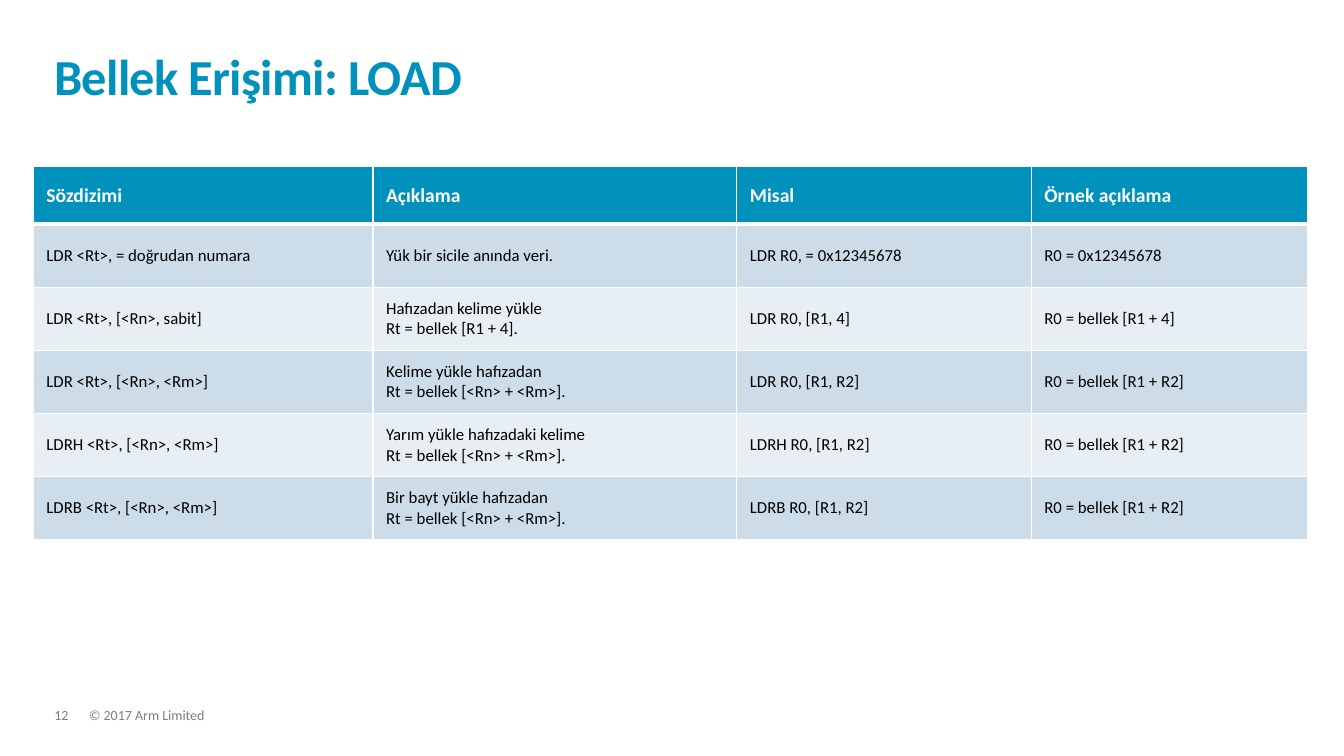
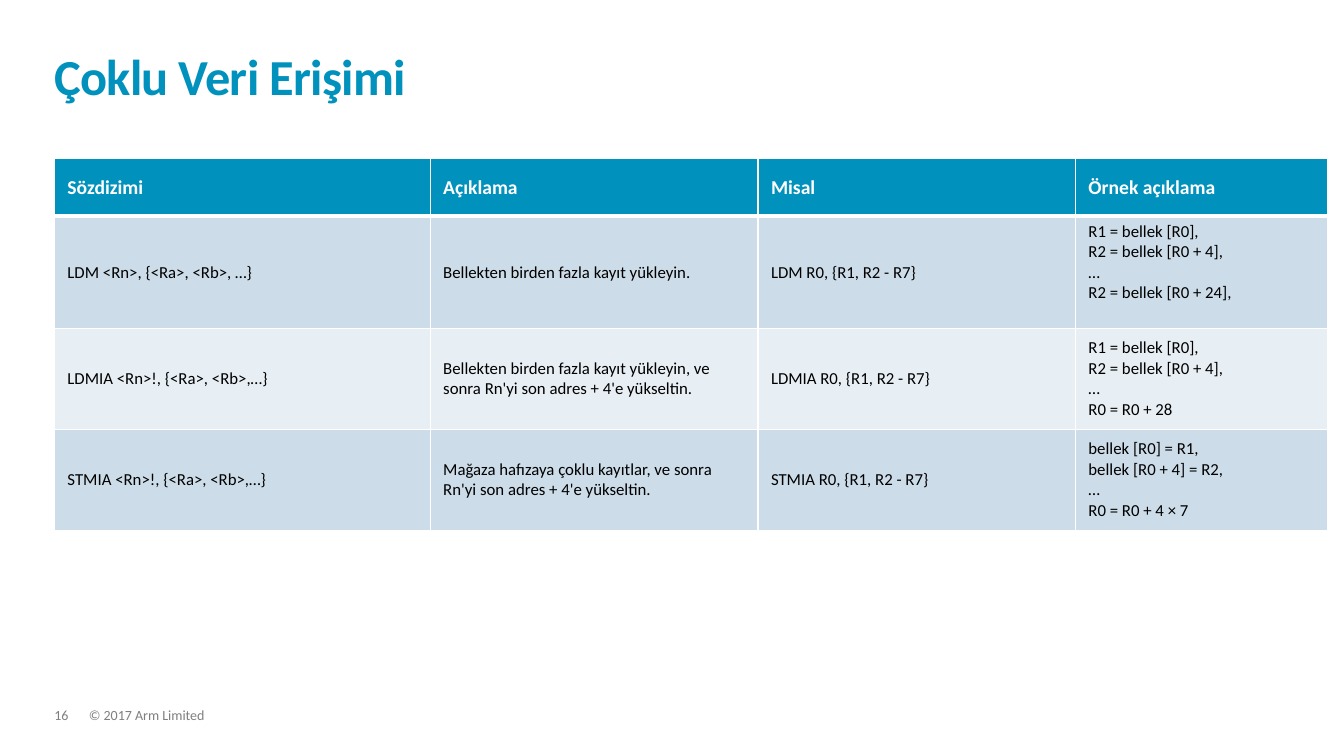
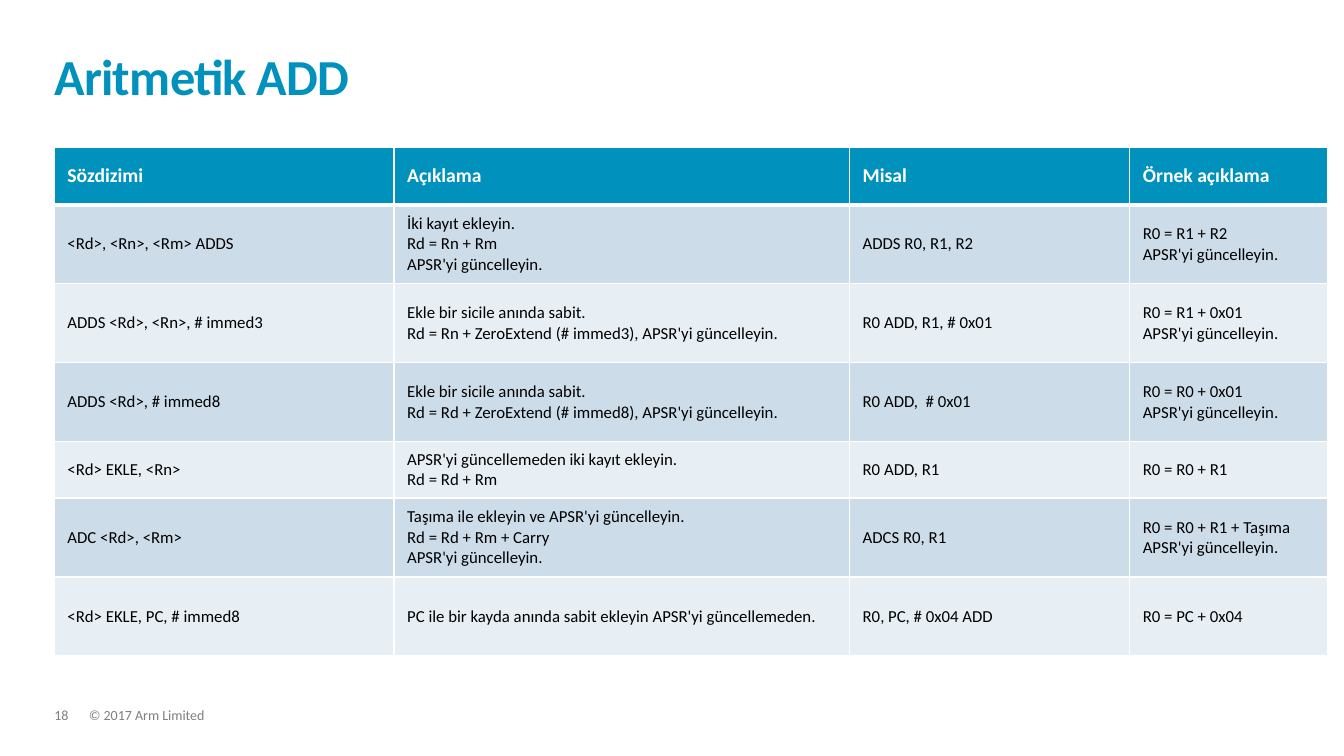
"""Build three slides of instruction tables with a shared title and footer."""
from lxml.etree import SubElement
from pptx import Presentation
from pptx.dml.color import RGBColor
from pptx.enum.text import MSO_ANCHOR as Anchor, MSO_AUTO_SIZE as AutoSize
from pptx.oxml.ns import qn
from pptx.util import Cm, Pt

BLUE = RGBColor(0x00, 0x91, 0xBD)
BAND_DARK = RGBColor(0xCC, 0xDC, 0xE8)
BAND_LIGHT = RGBColor(0xE7, 0xEE, 0xF4)
WHITE = RGBColor(0xFF, 0xFF, 0xFF)
BLACK = RGBColor(0x00, 0x00, 0x00)
GREY = RGBColor(0x7F, 0x7F, 0x7F)
FONT = "Calibri"
LEFT = 1.37
HEADER_HEIGHT = 1.45
HEADERS = ("Sözdizimi", "Açıklama", "Misal", "Örnek açıklama")


class Deck:
    def __init__(self):
        self.prs = Presentation()
        self.prs.slide_width, self.prs.slide_height = Cm(33.87), Cm(19.05)
        self.slide = None

    def add_slide(self, title, number):
        self.slide = self.prs.slides.add_slide(self.prs.slide_layouts[6])
        self.footer("© 2017 Arm Limited", 2.24, 23.19)
        self.footer(number, LEFT, 0.86)
        self.title(title)

    def run(self, p, text, size, color, bold=False):
        r = p.add_run()
        r.text = text
        r.font.name, r.font.size, r.font.bold = FONT, Pt(size), bold
        r.font.color.rgb = color
        return r

    def text_frame(self, left, top, width, height):
        s = self.slide.shapes.add_textbox(Cm(left), Cm(top), Cm(width), Cm(height))
        tf = s.text_frame
        tf.word_wrap = True
        tf.margin_left = tf.margin_right = tf.margin_top = tf.margin_bottom = 0
        return tf

    def title(self, text):
        tf = self.text_frame(LEFT, 0.81, 31.06, 1.85)
        tf.vertical_anchor = Anchor.BOTTOM
        p = tf.paragraphs[0]
        p.line_spacing = 0.85
        r = self.run(p, text, 36, BLUE, True)
        r.font._element.set("spc", "-50")

    def footer(self, text, left, width):
        tf = self.text_frame(left, 17.86, width, 0.38)
        tf.auto_size = AutoSize.SHAPE_TO_FIT_TEXT
        p = tf.paragraphs[0]
        p.line_spacing = 0.9
        self.run(p, text, 10, GREY)

    def border(self, cell, side, width):
        tc_pr = cell._tc.get_or_add_tcPr()
        ln = SubElement(tc_pr, qn(f"a:{side}"), w=str(Pt(width)))
        fill = SubElement(ln, qn("a:solidFill"))
        SubElement(fill, qn("a:srgbClr"), val=str(WHITE))

    def cell(self, cell, text, row):
        header = row == 0
        for side in ("lnL", "lnR", "lnT", "lnB"):
            thick = (header and side == "lnB") or (row == 1 and side == "lnT")
            self.border(cell, side, 3 if thick else 1)
        cell.fill.solid()
        cell.fill.fore_color.rgb = BLUE if header else (BAND_LIGHT, BAND_DARK)[row % 2]
        cell.vertical_anchor = Anchor.MIDDLE
        cell.margin_left = cell.margin_right = Cm(0.33)
        cell.margin_top = cell.margin_bottom = Cm(0.13)
        tf = cell.text_frame
        for i, line in enumerate(text.split("\n")):
            p = tf.add_paragraph() if i else tf.paragraphs[0]
            self.run(p, line, 14 if header else 12, WHITE if header else BLACK, header)

    def table(self, left, top, widths, heights, rows):
        heights = (HEADER_HEIGHT, *heights)
        frame = self.slide.shapes.add_table(
            len(heights), len(widths), Cm(left), Cm(top), Cm(sum(widths)), Cm(sum(heights)))
        table = frame.table
        table.horz_banding = False
        for column, width in zip(table.columns, widths):
            column.width = Cm(width)
        for row, height in zip(table.rows, heights):
            row.height = Cm(height)
        for i, texts in enumerate((HEADERS, *rows)):
            for j, text in enumerate(texts):
                self.cell(table.cell(i, j), text, i)
        return table


def load_slide(deck):
    deck.add_slide("Bellek Erişimi: LOAD", "12")
    deck.table(0.84, 4.2, (8.56, 9.17, 7.42, 6.96), [1.59] * 5, (
        ("LDR <Rt>, = doğrudan numara", "Yük bir sicile anında veri.",
         "LDR R0, = 0x12345678", "R0 = 0x12345678"),
        ("LDR <Rt>, [<Rn>, sabit]", "Hafızadan kelime yükle\nRt = bellek [R1 + 4].",
         "LDR R0, [R1, 4]", "R0 = bellek [R1 + 4]"),
        ("LDR <Rt>, [<Rn>, <Rm>]", "Kelime yükle hafızadan\nRt = bellek [<Rn> + <Rm>].",
         "LDR R0, [R1, R2]", "R0 = bellek [R1 + R2]"),
        ("LDRH <Rt>, [<Rn>, <Rm>]", "Yarım yükle hafızadaki kelime\nRt = bellek [<Rn> + <Rm>].",
         "LDRH R0, [R1, R2]", "R0 = bellek [R1 + R2]"),
        ("LDRB <Rt>, [<Rn>, <Rm>]", "Bir bayt yükle hafızadan\nRt = bellek [<Rn> + <Rm>].",
         "LDRB R0, [R1, R2]", "R0 = bellek [R1 + R2]"),
    ))


def multiple_access_slide(deck):
    deck.add_slide("Çoklu Veri Erişimi", "16")
    table = deck.table(LEFT, 4, (9.47, 8.26, 8, 6.35), (2.83, 2.54, 2.54), (
        ("LDM <Rn>, {<Ra>, <Rb>, …}", "Bellekten birden fazla kayıt yükleyin.",
         "LDM R0, {R1, R2 - R7}",
         "R1 = bellek [R0],\nR2 = bellek [R0 + 4],\n…\nR2 = bellek [R0 + 24],"),
        ("LDMIA <Rn>!, {<Ra>, <Rb>,…}",
         "Bellekten birden fazla kayıt yükleyin, ve sonra Rn'yi son adres + 4'e yükseltin.",
         "LDMIA R0, {R1, R2 - R7}",
         "R1 = bellek [R0],\nR2 = bellek [R0 + 4],\n…\nR0 = R0 + 28"),
        ("STMIA <Rn>!, {<Ra>, <Rb>,…}",
         "Mağaza hafızaya çoklu kayıtlar, ve sonra Rn'yi son adres + 4'e yükseltin.",
         "STMIA R0, {R1, R2 - R7}",
         "bellek [R0] = R1,\nbellek [R0 + 4] = R2,\n…\nR0 = R0 + 4 × 7"),
    ))
    table.cell(1, 3).vertical_anchor = Anchor.TOP


def add_instruction_slide(deck):
    deck.add_slide("Aritmetik ADD", "18")
    deck.table(LEFT, 3.71, (8.56, 11.48, 7.06, 4.98), (1.99, 1.99, 1.99, 1.42, 1.99, 1.99), (
        ("<Rd>, <Rn>, <Rm> ADDS", "İki kayıt ekleyin.\nRd = Rn + Rm\nAPSR'yi güncelleyin.",
         "ADDS R0, R1, R2", "R0 = R1 + R2\nAPSR'yi güncelleyin."),
        ("ADDS <Rd>, <Rn>, # immed3",
         "Ekle bir sicile anında sabit.\nRd = Rn + ZeroExtend (# immed3), APSR'yi güncelleyin.",
         "R0 ADD, R1, # 0x01", "R0 = R1 + 0x01\nAPSR'yi güncelleyin."),
        ("ADDS <Rd>, # immed8",
         "Ekle bir sicile anında sabit.\nRd = Rd + ZeroExtend (# immed8), APSR'yi güncelleyin.",
         "R0 ADD,  # 0x01", "R0 = R0 + 0x01\nAPSR'yi güncelleyin."),
        ("<Rd> EKLE, <Rn>", "APSR'yi güncellemeden iki kayıt ekleyin.\nRd = Rd + Rm",
         "R0 ADD, R1", "R0 = R0 + R1"),
        ("ADC <Rd>, <Rm>",
         "Taşıma ile ekleyin ve APSR'yi güncelleyin.\nRd = Rd + Rm + Carry\nAPSR'yi güncelleyin.",
         "ADCS R0, R1", "R0 = R0 + R1 + Taşıma\nAPSR'yi güncelleyin."),
        ("<Rd> EKLE, PC, # immed8",
         "PC ile bir kayda anında sabit ekleyin APSR'yi güncellemeden.",
         "R0, PC, # 0x04 ADD", "R0 = PC + 0x04"),
    ))


def main():
    deck = Deck()
    load_slide(deck)
    multiple_access_slide(deck)
    add_instruction_slide(deck)
    deck.prs.save("out.pptx")


if __name__ == "__main__":
    main()
